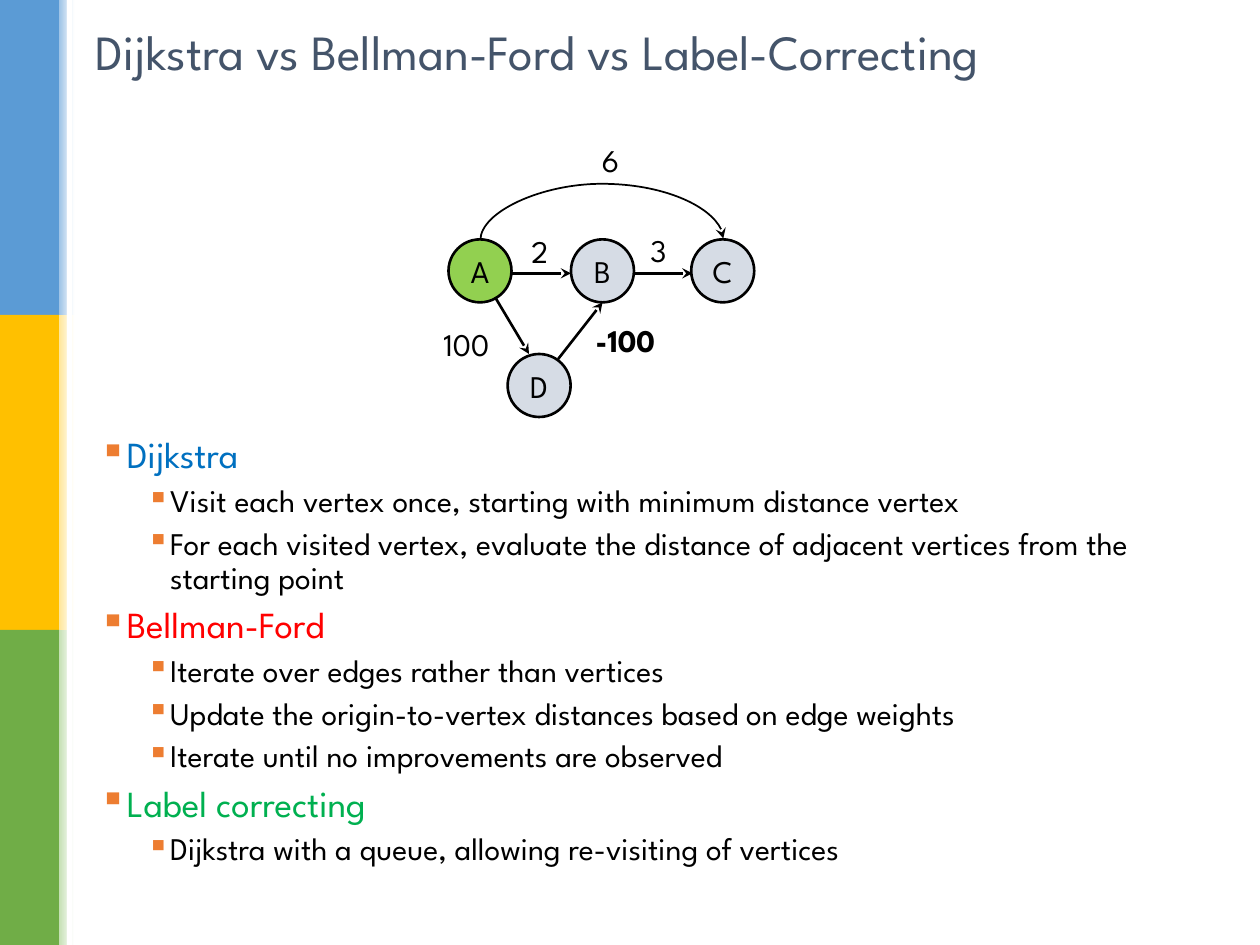
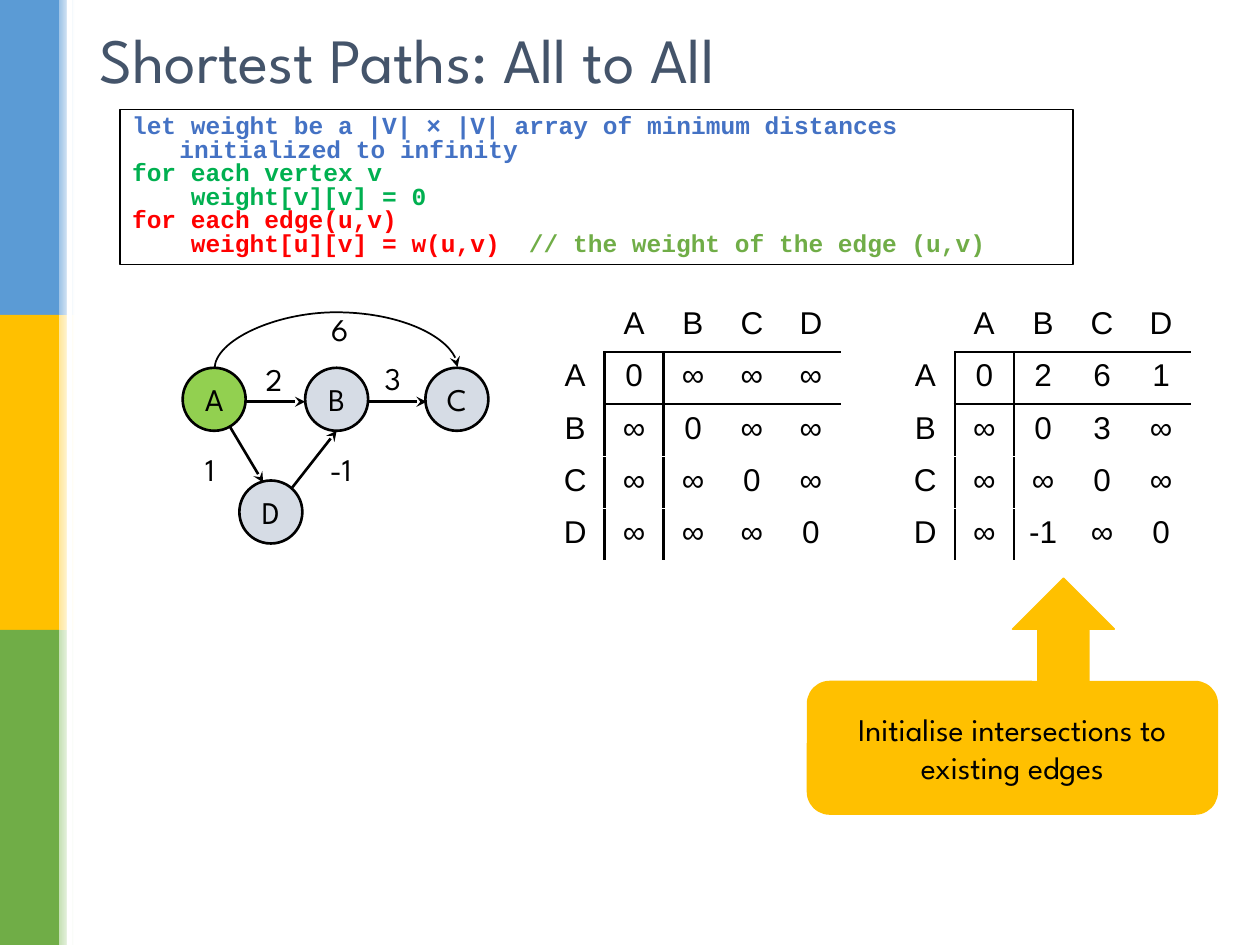
import lxml.etree
import pptx
import pptx.dml.color
import pptx.enum.dml
import pptx.enum.shapes
import pptx.enum.text
import pptx.oxml.ns
import pptx.util

Pt = pptx.util.Pt
RGB = pptx.dml.color.RGBColor
SHAPE = pptx.enum.shapes.MSO_SHAPE
CONNECTOR = pptx.enum.shapes.MSO_CONNECTOR
ALIGN = pptx.enum.text.PP_ALIGN
ANCHOR = pptx.enum.text.MSO_ANCHOR

BLACK = RGB(0x00, 0x00, 0x00)
WHITE = RGB(0xFF, 0xFF, 0xFF)
SLATE = RGB(0x44, 0x54, 0x6A)
GOLD = RGB(0xFF, 0xC0, 0x00)
LEAF = RGB(0x70, 0xAD, 0x47)
LIME = RGB(0x92, 0xD0, 0x50)
MIST = RGB(0xD6, 0xDC, 0xE5)
BLUE = RGB(0x00, 0x70, 0xC0)
RED = RGB(0xFF, 0x00, 0x00)
GREEN = RGB(0x00, 0xB0, 0x50)
CODE_BLUE = RGB(0x44, 0x72, 0xC4)
BANDS = [
    (RGB(0x5B, 0x9B, 0xD5), RGB(0x9D, 0xC3, 0xE6)),
    (GOLD, RGB(0xFF, 0xE6, 0x99)),
    (LEAF, RGB(0xC5, 0xE0, 0xB4)),
]
BULLET_COLOR = "ED7D31"

SANS = {"name": "League Spartan", "size": Pt(18)}
ARIAL = {"name": "Arial", "size": Pt(18)}
CODE = {"name": "Courier New", "size": Pt(14), "bold": True}

OUTLINE = [
    ("Dijkstra", BLUE, [
        "Visit each vertex once, starting with minimum distance vertex",
        "For each visited vertex, evaluate the distance of adjacent vertices from the starting point",
    ]),
    ("Bellman-Ford", RED, [
        "Iterate over edges rather than vertices",
        "Update the origin-to-vertex distances based on edge weights",
        "Iterate until no improvements are observed",
    ]),
    ("Label correcting", GREEN, ["Dijkstra with a queue, allowing re-visiting of vertices"]),
]
PSEUDOCODE = [
    [("let weight be a |V| × |V| array of minimum distances initialized to infinity", CODE_BLUE)],
    [("for each vertex v", GREEN)],
    [("\tweight[v][v] = 0", GREEN)],
    [("for each edge(u,v)", RED)],
    [("\tweight[u][v] = w(u,v)\t", RED), ("// the weight of the edge (u,v)", LEAF)],
]
VERTICES = "ABCD"
START_WEIGHTS = ["0∞∞∞", "∞0∞∞", "∞∞0∞", "∞∞∞0"]
EDGE_WEIGHTS = ["0261", "∞03∞", "∞∞0∞", ["∞", "-1", "∞", "0"]]


def style(obj, fmt):
    for key, value in fmt.items():
        setattr(obj, key, value)


def pts(*values):
    return [Pt(v) for v in values]


def sub(parent, tag, **attrs):
    el = lxml.etree.SubElement(parent, pptx.oxml.ns.qn(tag))
    for key, value in attrs.items():
        el.set(key, str(value))
    return el


def add_text(p, text, fmt, color=BLACK):
    r = p.add_run()
    r.text = text
    style(r.font, fmt)
    r.font.color.rgb = color


def add_shape(s, kind, box, fill=None, line=None, width=1):
    sp = s.shapes.add_shape(kind, *pts(*box))
    sp.shadow.inherit = False
    if fill is None:
        sp.fill.background()
    else:
        sp.fill.solid()
        sp.fill.fore_color.rgb = fill
    if line is None:
        sp.line.fill.background()
    else:
        sp.line.color.rgb = line
        sp.line.width = Pt(width)
    return sp


def add_bands(s):
    for i, (color, tint) in enumerate(BANDS):
        add_shape(s, SHAPE.RECTANGLE, (0, 180 * i, 33.8, 180), color)
        sp = add_shape(s, SHAPE.RECTANGLE, (33.8, 180 * i, 8.6, 180), WHITE)
        sp.fill.gradient()
        sp.fill.gradient_angle = 0
        for stop, c in zip(sp.fill.gradient_stops, (tint, WHITE)):
            stop.color.rgb = c
    add_shape(s, SHAPE.RECTANGLE, (38.2, 0, 2.9, 540), WHITE)


def add_slide(prs, title, box, size):
    s = prs.slides.add_slide(prs.slide_layouts[5])
    add_bands(s)
    sp = s.shapes.title
    style(sp, dict(zip(("left", "top", "width", "height"), pts(*box))))
    tf = sp.text_frame
    style(tf, {"auto_size": pptx.enum.text.MSO_AUTO_SIZE.NONE,
               "vertical_anchor": ANCHOR.MIDDLE, "word_wrap": True})
    p = tf.paragraphs[0]
    p.alignment = ALIGN.LEFT
    add_text(p, title, {**SANS, "size": Pt(size)}, SLATE)
    return s


def add_node(s, name, x, y, fill):
    sp = add_shape(s, SHAPE.OVAL, (x, y, 36, 36), fill, BLACK, 1.5)
    tf = sp.text_frame
    style(tf, {"word_wrap": False, "vertical_anchor": ANCHOR.MIDDLE})
    p = tf.paragraphs[0]
    p.alignment = ALIGN.CENTER
    add_text(p, name, SANS)


def add_arrow(s, kind, points, width=1.5):
    cx = s.shapes.add_connector(kind, *pts(*points))
    cx.line.color.rgb = BLACK
    cx.line.width = Pt(width)
    sub(cx.line._get_or_add_ln(), "a:tailEnd", type="stealth")
    sub(cx._element.spPr, "a:effectLst")
    return cx


def add_arc(s, x, y, span, rise):
    mid = x + span / 2
    cx = add_arrow(s, CONNECTOR.CURVE, (mid + 0.5, y + span / 2 + 0.5, mid - 0.5, y - span / 2 + 0.5), 1)
    spPr = cx._element.spPr
    spPr.find(pptx.oxml.ns.qn("a:xfrm")).set("rot", "5400000")
    geom = spPr.find(pptx.oxml.ns.qn("a:prstGeom"))
    guides = geom.find(pptx.oxml.ns.qn("a:avLst"))
    if guides is None:
        guides = sub(geom, "a:avLst")
    sub(guides, "a:gd", name="adj1", fmla=f"val {int(rise * 100000)}")


def add_label(s, text, x, y, width, bold=False):
    tf = s.shapes.add_textbox(*pts(x, y, width, 29)).text_frame
    tf.word_wrap = True
    add_text(tf.paragraphs[0], text, {**SANS, "bold": bold})


def add_graph(s, x, y, d_offset, labels):
    offsets = {"A": (0, 0), "B": (70, 0), "C": (138.7, 0), "D": d_offset}
    for name, (dx, dy) in offsets.items():
        add_node(s, name, x + dx, y + dy, LIME if name == "A" else MIST)
    edges = [(36, 19.4, 70, 19.4), (106, 19.4, 139.4, 19.4),
             (26.6, 33, 46, 65.5), (62.6, 68.4, 88, 36)]
    for x1, y1, x2, y2 in edges:
        add_arrow(s, CONNECTOR.STRAIGHT, (x + x1, y + y1, x + x2, y + y2))
    add_arc(s, x + 18.2, y - 0.5, 138.8, 32.5)
    shared = [("2", 40.3, -7.9, 23), ("3", 108.3, -8.6, 24.5)]
    for text, dx, dy, *rest in shared + labels:
        add_label(s, text, x + dx, y + dy, *rest)


def add_bullet(p, level, text, color):
    size = 18 if level else 21
    style(p, {"level": level, "line_spacing": 0.9, "space_before": Pt(5 if level else 6)})
    pPr = p._p.get_or_add_pPr()
    pPr.set("marL", str(Pt(13.5 + 27 * level)))
    pPr.set("indent", str(-Pt(13.5)))
    sub(sub(pPr, "a:buClr"), "a:srgbClr", val=BULLET_COLOR)
    sub(pPr, "a:buChar", char="▪")
    add_text(p, text, {**SANS, "size": Pt(size)}, color)


def add_outline(s, box, outline):
    tf = s.shapes.add_textbox(*pts(*box)).text_frame
    tf.word_wrap = True
    rows = []
    for heading, color, points in outline:
        rows.append((0, heading, color))
        rows += [(1, point, BLACK) for point in points]
    for i, row in enumerate(rows):
        add_bullet(tf.add_paragraph() if i else tf.paragraphs[0], *row)


def add_code(s, box, lines):
    tf = add_shape(s, SHAPE.RECTANGLE, box, None, BLACK).text_frame
    style(tf, {"word_wrap": True, "vertical_anchor": ANCHOR.TOP})
    for i, runs in enumerate(lines):
        p = tf.add_paragraph() if i else tf.paragraphs[0]
        style(p, {"alignment": ALIGN.LEFT, "line_spacing": 0.8})
        pPr = p._p.get_or_add_pPr()
        if i == 0:
            pPr.set("marL", str(Pt(27)))
            pPr.set("indent", str(-Pt(27)))
        else:
            tabs = sub(pPr, "a:tabLst")
            for stop in (33.6, 226.8):
                sub(tabs, "a:tab", pos=Pt(stop), algn="l")
        for text, color in runs:
            add_text(p, text, CODE, color)


def add_border(cell, side):
    ln = sub(cell._tc.get_or_add_tcPr(), f"a:ln{side}", w=Pt(1.5))
    sub(sub(ln, "a:solidFill"), "a:srgbClr", val=str(BLACK))


def add_matrix(s, x, y, weights):
    table = s.shapes.add_table(5, 5, *pts(x, y, 168.5, 149)).table
    style(table, {"first_row": False, "horz_banding": False})
    for col in table.columns:
        col.width = Pt(33.7)
    for row in table.rows:
        row.height = Pt(29.8)
    grid = [["", *VERTICES]] + [[v, *row] for v, row in zip(VERTICES, weights)]
    for i, row in enumerate(grid):
        for j, text in enumerate(row):
            cell = table.cell(i, j)
            sides = [("L", i and j == 1), ("R", i and j == 0),
                     ("T", j and i == 1), ("B", j and i == 0)]
            for side, ruled in sides:
                if ruled:
                    add_border(cell, side)
            cell.fill.background()
            if text:
                p = cell.text_frame.paragraphs[0]
                p.alignment = ALIGN.CENTER
                add_text(p, text, ARIAL)


def add_callout(s, lines):
    add_shape(s, SHAPE.UP_ARROW, (578.7, 330.5, 58, 59), GOLD, GOLD)
    tf = add_shape(s, SHAPE.ROUNDED_RECTANGLE, (461.5, 389.5, 234, 75.6), GOLD, GOLD).text_frame
    style(tf, {"word_wrap": True, "vertical_anchor": ANCHOR.MIDDLE})
    for i, line in enumerate(lines):
        p = tf.add_paragraph() if i else tf.paragraphs[0]
        p.alignment = ALIGN.CENTER
        add_text(p, line, SANS)


def main():
    prs = pptx.Presentation()
    style(prs, {"slide_width": Pt(720), "slide_height": Pt(540)})

    s = add_slide(prs, "Dijkstra vs Bellman-Ford vs Label-Correcting", (47.5, 0, 659.5, 57.6), 28.1)
    add_outline(s, (49.7, 246.2, 620.6, 270), OUTLINE)
    add_graph(s, 256.3, 136.8, (33.8, 65.5), [
        ("6", 80.6, -59.8, 24.5), ("100", -10, 45.4, 44.6), ("-100", 77, 43.2, 56, True)])

    s = add_slide(prs, "Shortest Paths: All to All", (49.7, 3.6, 516, 59), 36)
    add_code(s, (68.4, 62.6, 545, 88.6), PSEUDOCODE)
    add_graph(s, 104.4, 210.2, (32.4, 64.4), [
        ("6", 77.8, -36.7, 24.5), ("1", 5.8, 43.2, 24.5), ("-1", 77, 43.2, 56)])
    add_matrix(s, 311.8, 171.4, START_WEIGHTS)
    add_matrix(s, 511.9, 171.4, EDGE_WEIGHTS)
    add_callout(s, ["Initialise intersections to", "existing edges"])

    prs.save("out.pptx")


if __name__ == "__main__":
    main()
